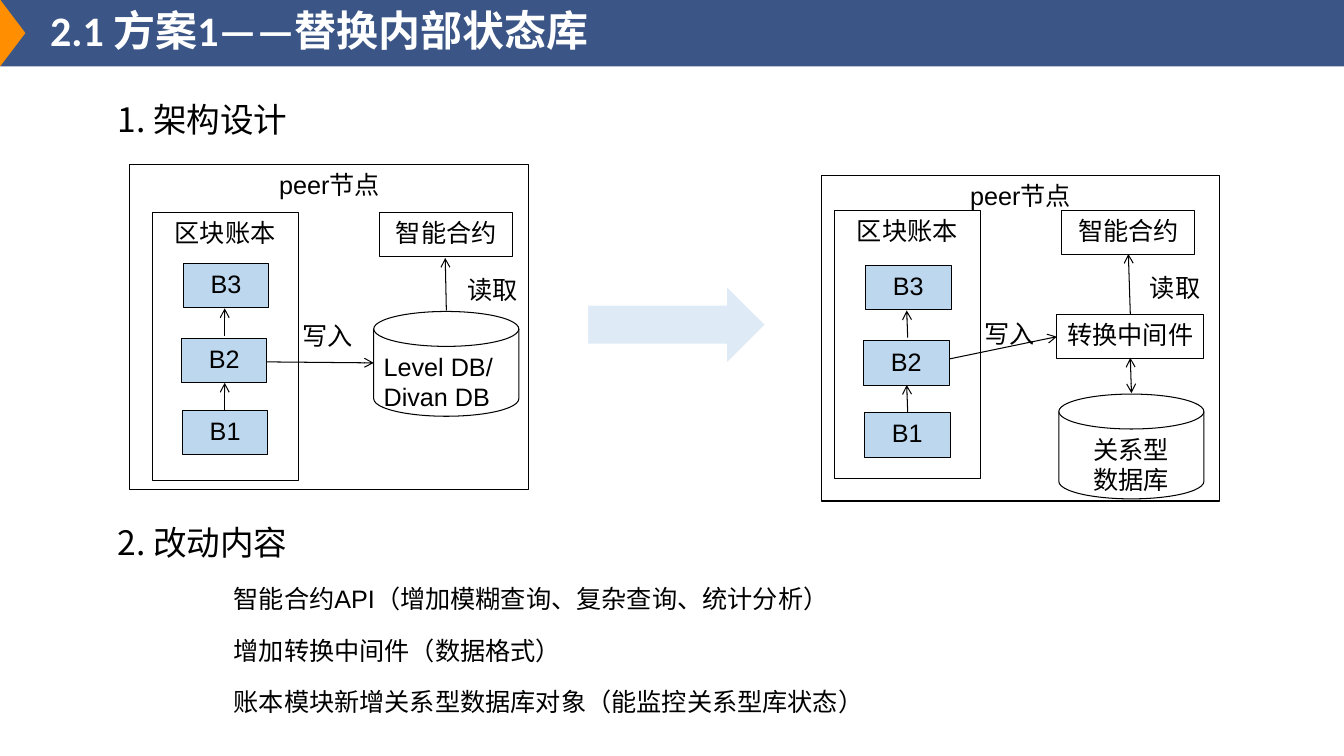
from dataclasses import dataclass

from lxml import etree
from pptx import Presentation
from pptx import util as u
from pptx.dml import color
from pptx.enum import shapes, text
from pptx.oxml import ns

BLACK, WHITE = "000000", "FFFFFF"
NAVY, ORANGE = "3B5686", "FF8F00"
BLOCK_BLUE, PALE_BLUE = "BDD7EE", "DEEBF7"
CJK_FONT = "Noto Sans CJK SC"
RECT = shapes.MSO_SHAPE.RECTANGLE
DISK = shapes.MSO_SHAPE.FLOWCHART_MAGNETIC_DISK
LEFT, CENTER = text.PP_ALIGN.LEFT, text.PP_ALIGN.CENTER
BOX_HEIGHT = 31.7
BLOCK_WIDTH = 61.2


@dataclass(frozen=True)
class Node:
    caption: str
    left: float
    top: float
    width: float
    height: float = BOX_HEIGHT
    fill: str = WHITE
    preset: shapes.MSO_SHAPE = RECT
    align: text.PP_ALIGN = CENTER
    line: str | None = BLACK
    line_width: float = 0.75


@dataclass(frozen=True)
class Arrow:
    x1: float
    y1: float
    x2: float
    y2: float
    two_way: bool = False


@dataclass(frozen=True)
class Label:
    caption: str
    left: float
    top: float
    width: float
    height: float
    size: float = 18
    font: str = "Arial"
    ink: str = BLACK
    bold: bool = False
    wrap: bool = True
    spacing: float = 1.0
    indent: float = 7.2
    anchor: text.MSO_ANCHOR = text.MSO_ANCHOR.TOP


def rgb(hex_code: str) -> color.RGBColor:
    return color.RGBColor.from_string(hex_code)


def write(frame, caption: str, size: float = 18, font: str = "Arial", ink: str = BLACK,
          bold: bool = False, align=LEFT, spacing: float = 1.0) -> None:
    frame.text = caption
    for paragraph in frame.paragraphs:
        paragraph.alignment = align
        paragraph.line_spacing = spacing
        for run in paragraph.runs:
            run.font.size = u.Pt(size)
            run.font.name = font
            run.font.bold = bold
            run.font.color.rgb = rgb(ink)
            east_asian = etree.SubElement(run.font._element, ns.qn("a:ea"))
            east_asian.set("typeface", CJK_FONT)


def draw_node(slide, node: Node):
    shape = slide.shapes.add_shape(
        node.preset, u.Pt(node.left), u.Pt(node.top), u.Pt(node.width), u.Pt(node.height))
    shape.shadow.inherit = False
    shape.fill.solid()
    shape.fill.fore_color.rgb = rgb(node.fill)
    if node.line:
        shape.line.color.rgb = rgb(node.line)
        shape.line.width = u.Pt(node.line_width)
    else:
        shape.line.fill.background()
    if node.caption:
        shape.text_frame.vertical_anchor = text.MSO_ANCHOR.TOP
        write(shape.text_frame, node.caption, align=node.align)
    return shape


def draw_arrow(slide, arrow: Arrow) -> None:
    connector = slide.shapes.add_connector(
        shapes.MSO_CONNECTOR.STRAIGHT,
        u.Pt(arrow.x1), u.Pt(arrow.y1), u.Pt(arrow.x2), u.Pt(arrow.y2))
    connector.line.color.rgb = rgb(BLACK)
    connector.line.width = u.Pt(0.75)
    ends = ("a:headEnd", "a:tailEnd") if arrow.two_way else ("a:tailEnd",)
    for end in ends:
        etree.SubElement(connector.line._ln, ns.qn(end)).set("type", "arrow")
    etree.SubElement(connector._element.spPr, ns.qn("a:effectLst"))


def draw_label(slide, label: Label) -> None:
    box = slide.shapes.add_textbox(
        u.Pt(label.left), u.Pt(label.top), u.Pt(label.width), u.Pt(label.height))
    frame = box.text_frame
    frame.word_wrap = label.wrap
    frame.vertical_anchor = label.anchor
    frame.margin_left = u.Pt(label.indent)
    write(frame, label.caption, label.size, label.font, label.ink, label.bold,
          spacing=label.spacing)


def draw_peer(slide, frame_left: float, frame_top: float, dx: float, dy: float,
              blocks_dy: float, stores: list[Node], arrows: list[Arrow]) -> None:
    """Draw one peer; dx and dy move its ledger, contract and labels."""
    nodes = [
        Node("peer节点", frame_left, frame_top, 285.1, 232.6),
        Node("区块账本", 108.7 + dx, 151.9 + dy, 104.4, 191.5),
        Node("智能合约", 271.4 + dx, 151.9 + dy, 95),
        *stores,
    ]
    block_places = {"B1": (130.3, 293.3), "B2": (129.6, 241.9), "B3": (131, 187.9)}
    nodes += [Node(name, left + dx, top + blocks_dy, BLOCK_WIDTH, fill=BLOCK_BLUE)
              for name, (left, top) in block_places.items()]
    for node in nodes:
        draw_node(slide, node)
    for arrow in arrows:
        draw_arrow(slide, arrow)
    for caption, left, top in (("读取", 327.2, 192.2), ("写入", 208.8, 225.2)):
        draw_label(slide, Label(caption, left + dx, top + dy, 50.4, 28.8, wrap=False))


def main() -> None:
    deck = Presentation()
    deck.slide_width, deck.slide_height = u.Pt(960.48), u.Pt(540)
    slide = deck.slides.add_slide(deck.slide_layouts[6])

    draw_node(slide, Node("", 0, 0, 960.48, 47.5, NAVY, line=None))
    pointer = draw_node(slide, Node("", -14.6, 14.6, 47.5, 18, ORANGE,
                                    shapes.MSO_SHAPE.ISOSCELES_TRIANGLE, line=None))
    pointer.rotation = 90
    draw_label(slide, Label("2.1 方案1——替换内部状态库", 28.8, 0, 499.7, 47.5, 30, "Calibri",
                            WHITE, bold=True, spacing=0.9, anchor=text.MSO_ANCHOR.MIDDLE))

    draw_peer(
        slide, 92.9, 117.4, 0, 0, 0,
        [Node("Level DB/\nDivan DB", 267.1, 222.5, 103.7, 74.9, preset=DISK, align=LEFT)],
        [Arrow(160.6, 293, 160.6, 273.5), Arrow(160.6, 239.8, 160.6, 220.3),
         Arrow(190.8, 258.5, 267.1, 259.2), Arrow(319, 221.8, 318.2, 184.3)])
    draw_peer(
        slide, 586.8, 125.3, 487.5, -1.5, 1.6,
        [Node("转换中间件", 755.3, 224.6, 105.1),
         Node("关系型\n数据库", 756.7, 281.5, 103.7, 74.9, preset=DISK)],
        [Arrow(648.7, 294.5, 648, 275), Arrow(648.7, 241.2, 648, 221.8),
         Arrow(679, 256.3, 755.3, 240.5), Arrow(807.8, 224.6, 806.4, 181.4),
         Arrow(807.8, 255.6, 808.6, 280.8, two_way=True)])
    draw_node(slide, Node("", 419.8, 203.8, 127.4, 56.2, PALE_BLUE,
                          shapes.MSO_SHAPE.RIGHT_ARROW, line=WHITE, line_width=1))

    for heading, top in (("1. 架构设计", 52.6), ("2. 改动内容", 355)):
        draw_label(slide, Label(heading, 77, top, 530.6, 50.4, 24, CJK_FONT, spacing=1.5))
    changes = ("智能合约API（增加模糊查询、复杂查询、统计分析）",
               "增加转换中间件（数据格式）",
               "账本模块新增关系型数据库对象（能监控关系型库状态）")
    draw_label(slide, Label("\n".join(changes), 87.8, 398.2, 733.7, 117.4,
                            spacing=1.7, indent=79.2))
    deck.save("out.pptx")


if __name__ == "__main__":
    main()
